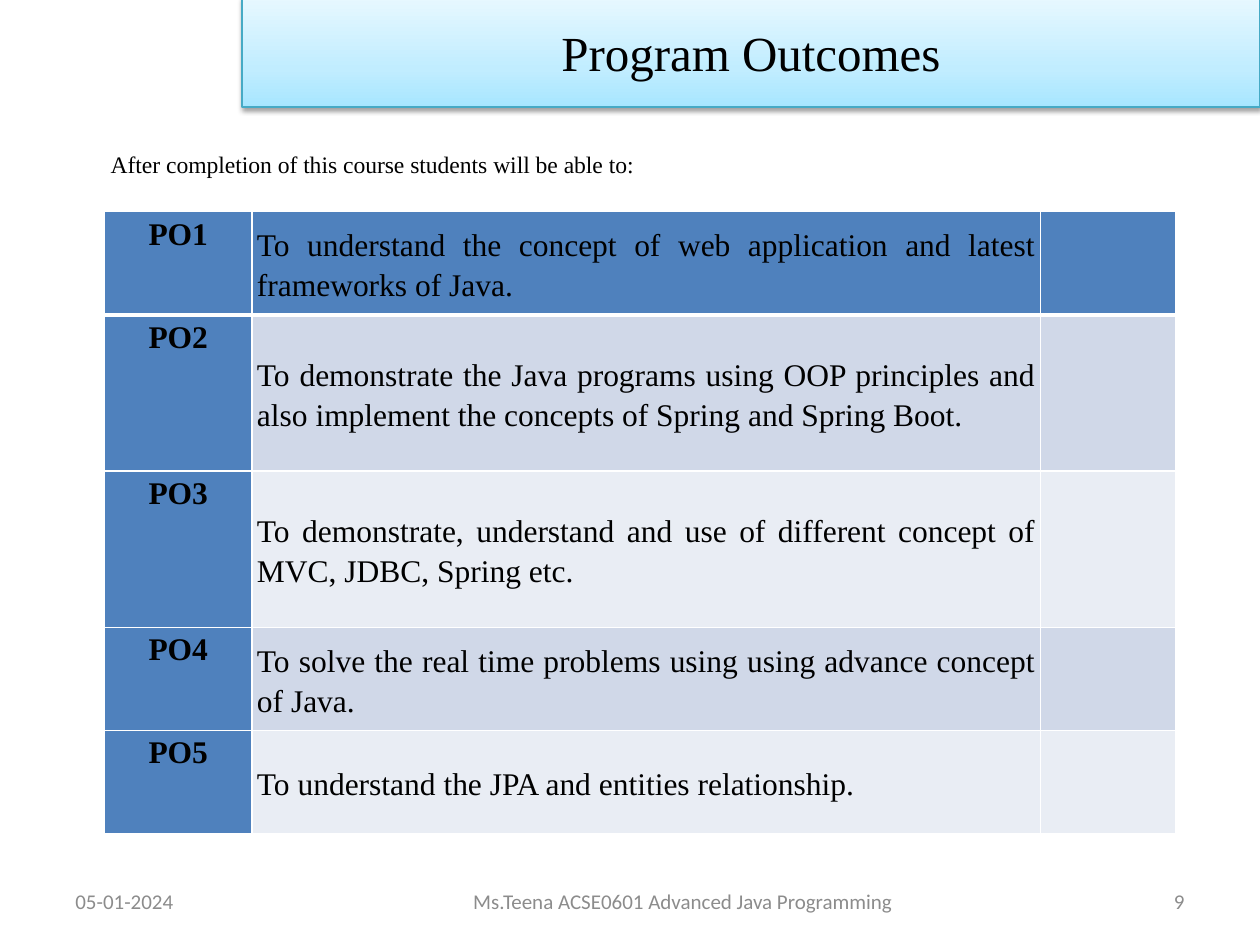
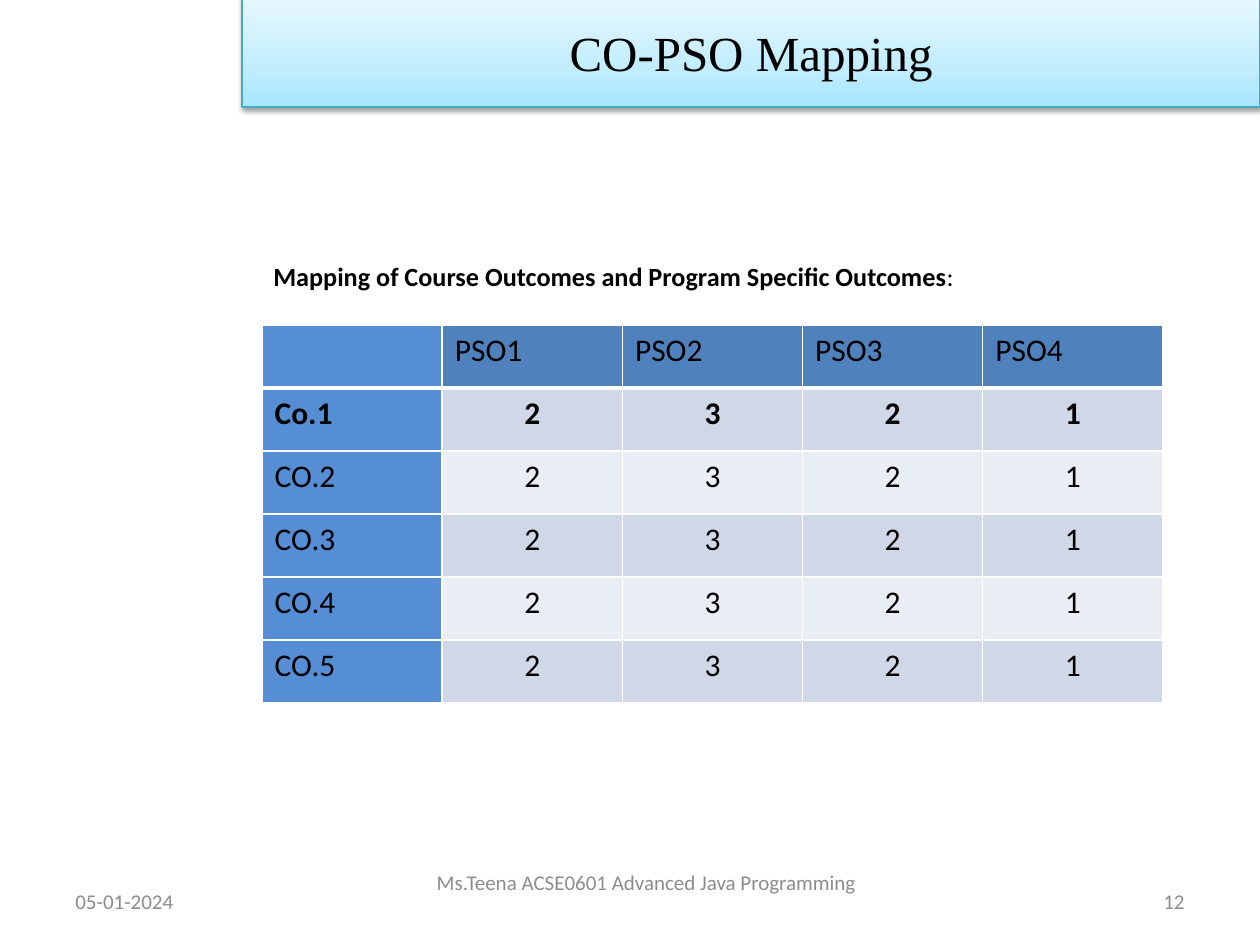
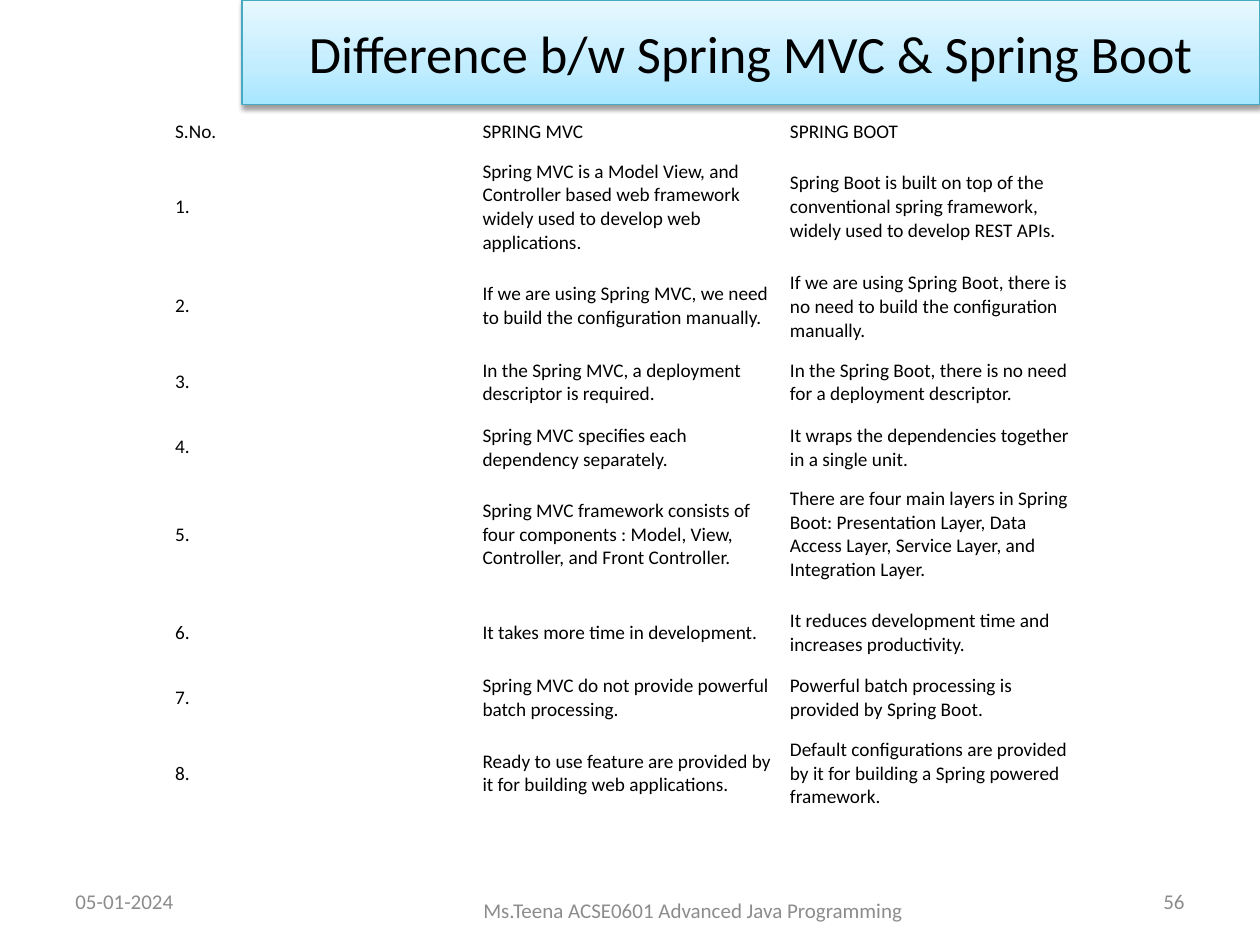
from lxml import etree
from pptx import Presentation
from pptx.dml.color import RGBColor
from pptx.enum.shapes import MSO_SHAPE
from pptx.enum.text import MSO_ANCHOR, PP_ALIGN
from pptx.oxml.ns import qn
from pptx.util import Inches, Pt

LEFT, CENTER, RIGHT = PP_ALIGN.LEFT, PP_ALIGN.CENTER, PP_ALIGN.RIGHT
JUSTIFY = PP_ALIGN.JUSTIFY
TOP, MIDDLE = MSO_ANCHOR.TOP, MSO_ANCHOR.MIDDLE
RECTANGLE = MSO_SHAPE.RECTANGLE

COLORS = {
    "text": "000000",
    "footer": "8C8C8C",
    "header": "4F81BD",
    "row label": "558ED5",
    "dark band": "D0D8E8",
    "light band": "E9EDF4",
    "border": "FFFFFF",
    "title line": "46AAC5",
    "shadow": "000000",
}
TITLE_GRADIENT = [(0, "A7E6FF"), (35, "C1EDFF"), (100, "E7F8FF")]
SANS, SERIF = "Calibri", "Times New Roman"
DATE = "05-01-2024"
FOOTER = "Ms.Teena ACSE0601 Advanced Java Programming"

OUTCOMES = [
    "To understand the concept of web application and latest frameworks of Java.",
    "To demonstrate the Java programs using OOP principles and also implement "
    "the concepts of Spring and Spring Boot.",
    "To demonstrate, understand and use of different concept of MVC, JDBC, Spring etc.",
    "To solve the real time problems using using advance concept of Java.",
    "To understand the JPA and entities relationship.",
]
COURSE_LABELS = ["Co.1", "CO.2", "CO.3", "CO.4", "CO.5"]
MAPPING_LEVELS = ["2", "3", "2", "1"]
DIFFERENCES = [
    ("Spring MVC is a Model View, and Controller based web framework widely used "
     "to develop web applications.",
     "Spring Boot is built on top of the conventional spring framework, widely "
     "used to develop REST APIs."),
    ("If we are using Spring MVC, we need to build the configuration manually.",
     "If we are using Spring Boot, there is no need to build the configuration manually."),
    ("In the Spring MVC, a deployment descriptor is required.",
     "In the Spring Boot, there is no need for a deployment descriptor."),
    ("Spring MVC specifies each dependency separately.",
     "It wraps the dependencies together in a single unit."),
    ("Spring MVC framework consists of four components : Model, View, Controller, "
     "and Front Controller.",
     "There are four main layers in Spring Boot: Presentation Layer, Data Access "
     "Layer, Service Layer, and Integration Layer."),
    ("It takes more time in development.",
     "It reduces development time and increases productivity."),
    ("Spring MVC do not provide powerful batch processing.",
     "Powerful batch processing is provided by Spring Boot."),
    ("Ready to use feature are provided by it for building web applications.",
     "Default configurations are provided by it for building a Spring powered framework."),
]


def rgb(name):
    return RGBColor.from_string(COLORS[name])


def write_text(frame, text, size=18, font=SANS, color="text", bold=False,
               align=LEFT, line_spacing=None, space_after=None):
    """Append a formatted run to the first paragraph of a text frame."""
    paragraph = frame.paragraphs[0]
    paragraph.alignment = align
    if line_spacing:
        paragraph.line_spacing = line_spacing
    if space_after:
        paragraph.space_after = Pt(space_after)
    run = paragraph.add_run()
    run.text = text
    run.font.size = Pt(size)
    run.font.name = font
    run.font.bold = bold
    run.font.color.rgb = rgb(color)


def add_text_box(slide, box, anchor=TOP):
    frame = slide.shapes.add_textbox(*map(Inches, box)).text_frame
    frame.word_wrap = True
    frame.vertical_anchor = anchor
    return frame


def add_color(parent, tag, value, **attributes):
    """Add an XML element that holds one colour, and return the colour."""
    element = etree.SubElement(parent, qn(tag), attributes)
    return etree.SubElement(element, qn("a:srgbClr"), val=value)


def add_title(slide, text, top=-0.02, height=0.87, size=28, font=SERIF):
    shape = slide.shapes.add_shape(
        RECTANGLE, Inches(1.92), Inches(top), Inches(8.08), Inches(height))
    shape.shadow.inherit = False
    shape.line.color.rgb = rgb("title line")
    shape.line.width = Pt(0.75)
    shape.fill.gradient()
    shape.fill.gradient_angle = 90

    # Three gradient stops and a soft shadow below
    properties = shape.fill._xPr
    stops = properties.find(qn("a:gradFill")).find(qn("a:gsLst"))
    for stop in list(stops):
        stops.remove(stop)
    for position, value in TITLE_GRADIENT:
        add_color(stops, "a:gs", value, pos=str(position * 1000))
    shadow = add_color(properties.find(qn("a:effectLst")), "a:outerShdw",
                       COLORS["shadow"], blurRad=str(Pt(3.1)), dist=str(Pt(1.6)),
                       dir="5400000", rotWithShape="0")
    etree.SubElement(shadow, qn("a:alpha"), val="38000")

    shape.text_frame.word_wrap = True
    shape.text_frame.vertical_anchor = MIDDLE
    write_text(shape.text_frame, text, size=size, font=font, align=CENTER)


def add_footer(slide, number, footer_box):
    for text, box, align in [
        (DATE, (0.5, 6.95, 2.33, 0.4), LEFT),
        (FOOTER, footer_box, CENTER),
        (str(number), (7.17, 6.95, 2.33, 0.4), RIGHT),
    ]:
        write_text(add_text_box(slide, box, MIDDLE), text, size=12,
                   color="footer", align=align)


def add_borders(cell, row):
    """White cell borders, heavier below the header row."""
    widths = {"L": 1, "R": 1, "T": 3 if row == 1 else 1, "B": 3 if row == 0 else 1}
    properties = cell._tc.get_or_add_tcPr()
    for index, (side, width) in enumerate(widths.items()):
        line = etree.Element(qn(f"a:ln{side}"), w=str(Pt(width)))
        add_color(line, "a:solidFill", COLORS["border"])
        properties.insert(index, line)


def add_table(slide, position, columns, heights, rows, cell_format, margins=(0.1, 0.05)):
    """cell_format(row, column) gives the fill, the anchor and the text format."""
    left, top = position
    table = slide.shapes.add_table(
        len(rows), len(columns), Inches(left), Inches(top),
        Inches(sum(columns)), Inches(sum(heights))).table
    table.first_row = table.horz_banding = False
    for column, width in zip(table.columns, columns):
        column.width = Inches(width)
    for row, height in zip(table.rows, heights):
        row.height = Inches(height)
    for row, texts in enumerate(rows):
        for column, text in enumerate(texts):
            cell = table.cell(row, column)
            fill, anchor, text_format = cell_format(row, column)
            cell.margin_left = cell.margin_right = Inches(margins[0])
            cell.margin_top = cell.margin_bottom = Inches(margins[1])
            cell.vertical_anchor = anchor
            if fill:
                cell.fill.solid()
                cell.fill.fore_color.rgb = rgb(fill)
            else:
                cell.fill.background()
            add_borders(cell, row)
            if text:
                write_text(cell.text_frame, text, **text_format)


def band(row):
    return "dark band" if row % 2 else "light band"


def outcome_format(row, column):
    is_label = column == 0
    fill = "header" if row == 0 or is_label else band(row)
    return fill, TOP if is_label else MIDDLE, dict(
        font=SERIF, bold=is_label, align=CENTER if is_label else JUSTIFY,
        line_spacing=1.15, space_after=10)


def mapping_format(row, column):
    fill = "row label" if column == 0 else "header" if row == 0 else band(row)
    return fill, TOP, dict(bold=row == 1, align=CENTER if row and column else LEFT)


def difference_format(row, column):
    return None, MIDDLE, dict(size=11)


def build_outcomes(slide):
    rows = [(f"PO{number}", text, "") for number, text in enumerate(OUTCOMES, 1)]
    add_table(slide, (0.83, 1.68), [1.17, 6.26, 1.07], [0.82, 1.24, 1.24, 0.82, 0.82],
              rows, outcome_format, margins=(0.04, 0))
    write_text(add_text_box(slide, (0.78, 1.14, 4.4, 0.33)),
               "After completion of this course students will be able to:",
               size=13.5, font=SERIF)
    add_footer(slide, 9, (1.92, 6.95, 7, 0.4))
    add_title(slide, "Program Outcomes")


def build_mapping(slide):
    heading = add_text_box(slide, (1.86, 2.02, 5.86, 0.35))
    heading.margin_left = Inches(0.31)
    write_text(heading, "Mapping of Course Outcomes and Program Specific Outcomes",
               size=15, bold=True)
    write_text(heading, ":", size=15)
    add_footer(slide, 12, (2.19, 6.67, 5.88, 0.67))
    add_title(slide, "CO-PSO Mapping")
    rows = [["", "PSO1", "PSO2", "PSO3", "PSO4"]]
    rows += [[label] + MAPPING_LEVELS for label in COURSE_LABELS]
    add_table(slide, (2.08, 2.58), [1.43] * 5, [0.5] * 6, rows, mapping_format)


def build_differences(slide):
    rows = [("S.No.", "SPRING MVC", "SPRING BOOT")]
    rows += [(f"{number}.", *pair) for number, pair in enumerate(DIFFERENCES, 1)]
    add_table(slide, (1.33, 0.92), [2.44] * 3,
              [0.24, 0.96, 0.6, 0.6, 0.42, 0.96, 0.6, 0.42, 0.78],
              rows, difference_format, margins=(0.06, 0.03))
    add_title(slide, "Difference b/w Spring MVC & Spring Boot",
              top=0, height=0.83, size=30, font=SANS)
    add_footer(slide, 56, (2.75, 6.95, 5.5, 0.55))


def main():
    presentation = Presentation()
    presentation.slide_width, presentation.slide_height = Inches(10), Inches(7.5)
    blank = presentation.slide_layouts[6]
    for build in (build_outcomes, build_mapping, build_differences):
        build(presentation.slides.add_slide(blank))
    presentation.save("out.pptx")


if __name__ == "__main__":
    main()
